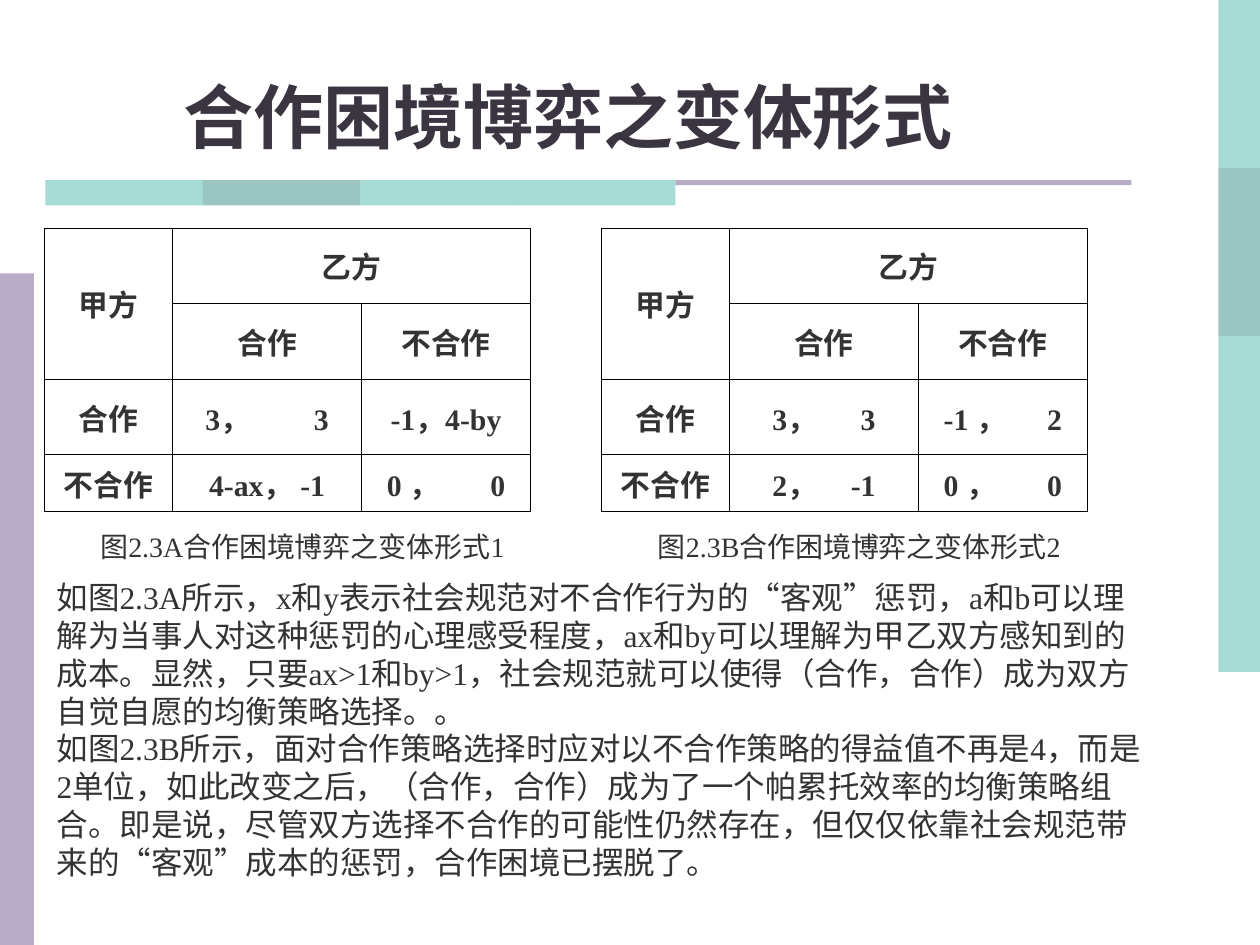
import pptx
import pptx.dml.color
import pptx.enum.shapes
import pptx.enum.text
import pptx.oxml.ns
import lxml.etree

Inches = pptx.util.Inches
Pt = pptx.util.Pt
ALIGN = pptx.enum.text.PP_ALIGN
ANCHOR = pptx.enum.text.MSO_ANCHOR
FONT = "Times New Roman"
INK = "333333"
TEAL = "51B9AF"
DARK_TEAL = "398D85"
LILAC = "B8ACC6"
COLUMNS = [1.02, 1.5, 1.34]
ROWS = [0.6, 0.6, 0.6, 0.45]
MARGIN = 0.1


def set_color(color_format, value):
    color_format.rgb = pptx.dml.color.RGBColor.from_string(value)


def add_element(parent, tag, **attributes):
    return lxml.etree.SubElement(parent, pptx.oxml.ns.qn(tag), attributes)


def add_bar(slide, left, top, width, height, color, opacity=100):
    bar = slide.shapes.add_shape(
        pptx.enum.shapes.MSO_SHAPE.RECTANGLE,
        Inches(left), Inches(top), Inches(width), Inches(height))
    bar.shadow.inherit = False
    bar.line.fill.background()
    bar.fill.solid()
    set_color(bar.fill.fore_color, color)
    if opacity < 100:
        fill_color = bar.fill._xPr.find(".//" + pptx.oxml.ns.qn("a:srgbClr"))
        add_element(fill_color, "a:alpha", val=str(opacity * 1000))


def style_paragraph(paragraph, size, color=INK, bold=False, align=ALIGN.LEFT):
    paragraph.alignment = align
    paragraph.font.name = FONT
    paragraph.font.size = Pt(size)
    paragraph.font.bold = bold
    set_color(paragraph.font.color, color)


def add_text(slide, left, top, width, height, lines, size,
             anchor=ANCHOR.TOP, **style):
    box = slide.shapes.add_textbox(
        Inches(left), Inches(top), Inches(width), Inches(height))
    frame = box.text_frame
    frame.word_wrap = True
    frame.vertical_anchor = anchor
    frame.text = "\n".join(lines)
    for paragraph in frame.paragraphs:
        style_paragraph(paragraph, size, **style)


def add_borders(cell):
    properties = cell._tc.get_or_add_tcPr()
    for side in ("a:lnL", "a:lnR", "a:lnT", "a:lnB"):
        border = add_element(properties, side, w=str(Pt(0.45)))
        fill = add_element(border, "a:solidFill")
        add_element(fill, "a:srgbClr", val="000000")


def fill_cell(cell, text, column, inset):
    add_borders(cell)
    cell.fill.background()
    cell.vertical_anchor = ANCHOR.MIDDLE
    cell.margin_left = cell.margin_right = Inches(MARGIN)
    cell.text = text
    paragraph = cell.text_frame.paragraphs[0]
    align = ALIGN.CENTER
    if "\t" in text:
        align = ALIGN.LEFT
        cell.margin_left = Inches(MARGIN + inset)
        number_edge = COLUMNS[column] - 2 * (MARGIN + inset)
        tabs = add_element(paragraph._p.get_or_add_pPr(), "a:tabLst")
        add_element(tabs, "a:tab", pos=str(Inches(number_edge)), algn="r")
    style_paragraph(paragraph, 17, bold=True, align=align)


def add_payoff_table(slide, left, payoffs, insets):
    table = slide.shapes.add_table(
        len(ROWS), len(COLUMNS), Inches(left), Inches(1.81),
        Inches(sum(COLUMNS)), Inches(sum(ROWS))).table
    table.first_row = table.horz_banding = False
    for column, width in zip(table.columns, COLUMNS):
        column.width = Inches(width)
    for row, height in zip(table.rows, ROWS):
        row.height = Inches(height)
    strategies = ["合作", "不合作"]
    content = [["甲方", "乙方", ""], ["", *strategies]]
    content += [[name, *pair] for name, pair in zip(strategies, payoffs)]
    for row, texts in enumerate(content):
        for column, text in enumerate(texts):
            fill_cell(table.cell(row, column), text, column, insets[column])
    table.cell(0, 0).merge(table.cell(1, 0))
    table.cell(0, 1).merge(table.cell(0, 2))


def add_decoration(slide):
    for index, color in enumerate([TEAL, DARK_TEAL, TEAL, TEAL]):
        add_bar(slide, 9.67, index * 4 / 3, 0.33, 4 / 3, color, 50)
        add_bar(slide, 0.36 + index * 1.25, 1.43, 1.25, 0.2, color, 50)
    add_bar(slide, 0, 2.17, 0.27, 5.33, LILAC)
    add_bar(slide, 5.36, 1.43, 3.62, 0.04, LILAC)


def main():
    presentation = pptx.Presentation()
    presentation.slide_width = Inches(10)
    presentation.slide_height = Inches(7.5)
    slide = presentation.slides.add_slide(presentation.slide_layouts[6])

    add_decoration(slide)
    add_text(slide, 0, 0.44, 9.02, 0.86, ["合作困境博弈之变体形式"], 40,
             ANCHOR.BOTTOM, color="3A3541", bold=True, align=ALIGN.CENTER)

    games = [
        (0.35, "图2.3A合作困境博弈之变体形式1",
         [["3，\t3", "-1，4-by"], ["4-ax， -1", "0 ，\t0"]], [0, 0.16, 0.1]),
        (4.77, "图2.3B合作困境博弈之变体形式2",
         [["3，\t3", "-1 ，\t2"], ["2，\t-1", "0 ，\t0"]], [0, 0.24, 0.1]),
    ]
    for left, caption, payoffs, insets in games:
        add_payoff_table(slide, left, payoffs, insets)
        add_text(slide, left + 0.24, 4.15, 3.62, 0.37, [caption], 16,
                 ANCHOR.MIDDLE, align=ALIGN.CENTER)

    add_text(slide, 0.35, 4.54, 8.82, 2.5, [
        "如图2.3A所示，x和y表示社会规范对不合作行为的“客观”惩罚，"
        "a和b可以理解为当事人对这种惩罚的心理感受程度，"
        "ax和by可以理解为甲乙双方感知到的成本。"
        "显然，只要ax>1和by>1，社会规范就可以使得（合作，合作）"
        "成为双方自觉自愿的均衡策略选择。。",
        "如图2.3B所示，面对合作策略选择时应对以不合作策略的得益值不再是4，"
        "而是2单位，如此改变之后，（合作，合作）"
        "成为了一个帕累托效率的均衡策略组合。"
        "即是说，尽管双方选择不合作的可能性仍然存在，"
        "但仅仅依靠社会规范带来的“客观”成本的惩罚，合作困境已摆脱了。",
    ], 18)
    presentation.save("out.pptx")


if __name__ == "__main__":
    main()
